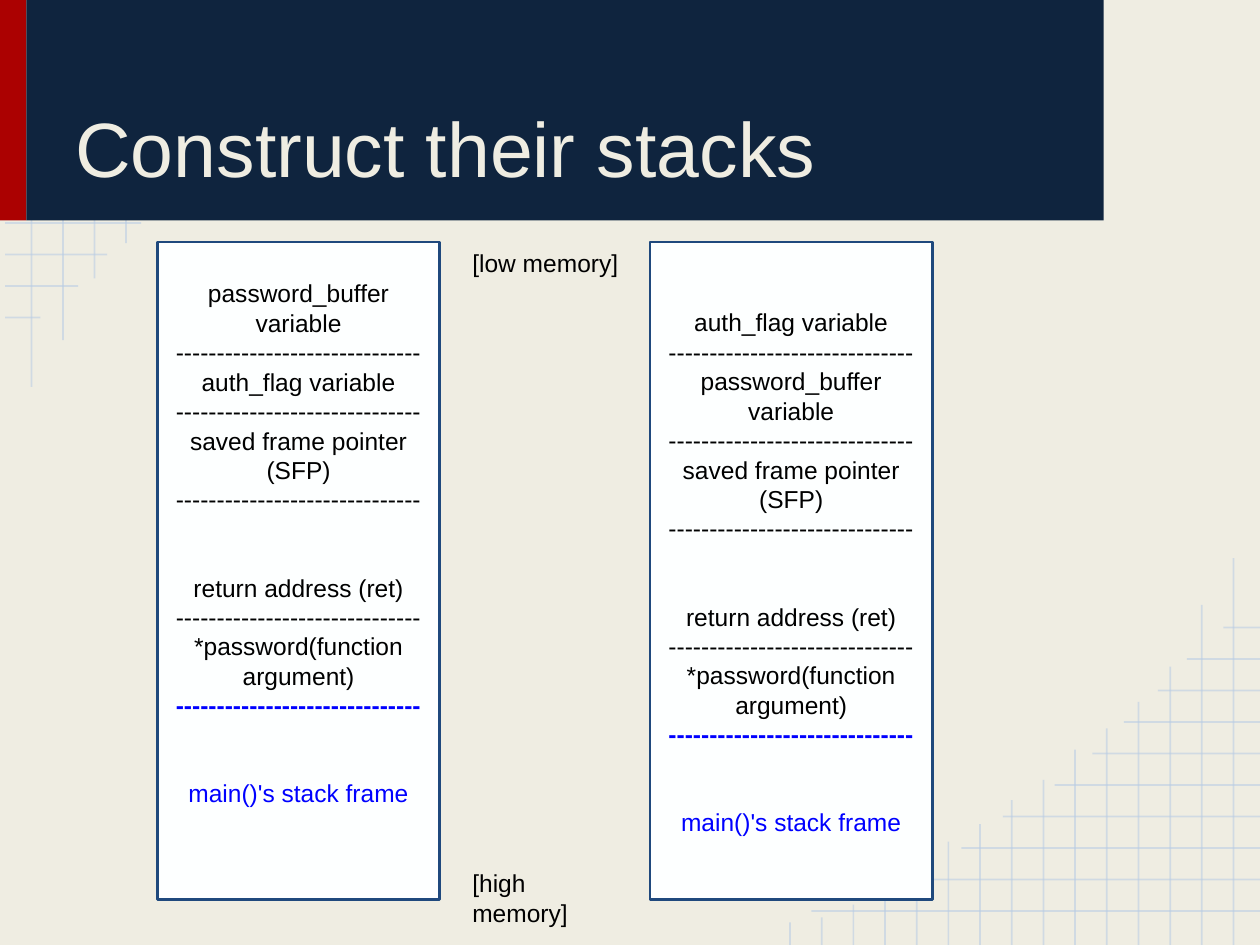
from pptx import Presentation
from pptx.dml.color import RGBColor
from pptx.enum.shapes import MSO_CONNECTOR, MSO_SHAPE
from pptx.enum.text import MSO_ANCHOR, PP_ALIGN
from pptx.oxml.ns import qn
from pptx.util import Inches, Pt
from lxml import etree

STRAIGHT, RECTANGLE = MSO_CONNECTOR.STRAIGHT, MSO_SHAPE.RECTANGLE
TOP, BOTTOM = MSO_ANCHOR.TOP, MSO_ANCHOR.BOTTOM
LEFT, CENTER = PP_ALIGN.LEFT, PP_ALIGN.CENTER

CREAM = RGBColor(0xEF, 0xED, 0xE2)
NAVY = RGBColor(0x0F, 0x24, 0x3E)
RED = RGBColor(0xAB, 0x01, 0x01)
GRID_BLUE = RGBColor(0xB7, 0xCC, 0xE4)
FRAME_BLUE = RGBColor(0x1F, 0x49, 0x7D)
WHITE = RGBColor(0xFD, 0xFF, 0xFF)
BLUE = RGBColor(0x00, 0x00, 0xFF)
BLACK = RGBColor(0x00, 0x00, 0x00)

# Content
TITLE = "Construct their stacks"
RULE = "-" * 30
BUFFER, FLAG = "password_buffer variable", "auth_flag variable"
# Each stack: left edge, inset above the text, order of the local variables
STACKS = [(5.16, 0.52, (FLAG, BUFFER)), (1.25, 0.29, (BUFFER, FLAG))]
# Each entry: text, blank lines above it, format
STACK_END = [
    ("saved frame pointer (SFP)", 0, {}),
    (RULE, 0, {}),
    ("return address (ret)", 2, {}),
    (RULE, 0, {}),
    ("*password(function argument)", 0, {}),
    (RULE, 0, {"color": BLUE, "bold": True}),
    ("main()'s stack frame", 2, {"color": BLUE}),
]
LABELS = [("[low memory]", 1.87), ("[high memory]", 6.79)]

# Grid corners: first and last line position, fixed end, and the ragged ends
UPPER_ROWS = (1.77, 2.52, 0.04, [1.12, 0.85, 0.62, 0.32])
UPPER_COLUMNS = (0.25, 1, 0, [3.07, 2.7, 2.21, 1.93])
LOWER_ROWS = (7.23, 4.98, 10, [6.44, 7.08, 7.63, 7.96, 8.37, 8.67, 8.92,
                               9.19, 9.42, 9.71])
LOWER_COLUMNS = (9.79, 6.27, 7.5, [4.43, 4.8, 5.29, 5.57, 5.78, 5.95, 6.19, 6.35,
                                   6.54, 6.68, 6.86, 7.07, 7.18, 7.28, 7.32])

STACK_TOP, STACK_WIDTH, STACK_HEIGHT = 1.92, 2.24, 5.22
LINE_PITCH = 16.8


def add_grid_line(page, *ends):
    line = page.shapes.add_connector(STRAIGHT, *(Inches(end) for end in ends))
    line.line.width = Pt(1)
    line.line.color.rgb = GRID_BLUE
    color = line.line.fill._xPr.find(".//" + qn("a:srgbClr"))
    etree.SubElement(color, qn("a:alpha")).set("val", "54000")
    etree.SubElement(line._element.spPr, qn("a:effectLst"))


def add_grid(page, grid, horizontal):
    first, last, fixed, ragged = grid
    step = (last - first) / (len(ragged) - 1)
    for index, end in enumerate(ragged):
        place = first + index * step
        if horizontal:
            add_grid_line(page, fixed, place, end, place)
        else:
            add_grid_line(page, place, fixed, place, end)


def add_block(page, area, fill, border=None):
    block = page.shapes.add_shape(RECTANGLE, *(Inches(side) for side in area))
    block.shadow.inherit = False
    block.fill.solid()
    block.fill.fore_color.rgb = fill
    if border is None:
        block.line.fill.background()
    else:
        block.line.color.rgb = border
        block.line.width = Pt(1.5)
    return block


def write(box, entries, size=14, color=BLACK, align=LEFT, anchor=TOP, inset=0.1, pitch=None):
    frame = box.text_frame
    layout = {"word_wrap": True, "vertical_anchor": anchor, "margin_top": Inches(inset)}
    for side in ("left", "right", "bottom"):
        layout["margin_" + side] = Inches(0.1)
    for name, value in layout.items():
        setattr(frame, name, value)
    for index, (text, blank_lines, style) in enumerate(entries):
        para = frame.paragraphs[0] if index == 0 else frame.add_paragraph()
        para.alignment = align
        if pitch:
            para.line_spacing = Pt(pitch)
            para.space_before = Pt(blank_lines * pitch)
        span = para.add_run()
        span.text = text
        font = {"name": "Arial", "size": Pt(size), "bold": style.get("bold", False)}
        for name, value in font.items():
            setattr(span.font, name, value)
        span.font.color.rgb = style.get("color", color)


def add_text(page, area, text, **style):
    box = page.shapes.add_textbox(*(Inches(side) for side in area))
    write(box, [(text, 0, {})], **style)


def main():
    deck = Presentation()
    deck.slide_width, deck.slide_height = Inches(10), Inches(7.5)
    page = deck.slides.add_slide(deck.slide_layouts[6])
    page.background.fill.solid()
    page.background.fill.fore_color.rgb = CREAM

    # Grid paper in two corners
    for rows, columns in ((UPPER_ROWS, UPPER_COLUMNS), (LOWER_ROWS, LOWER_COLUMNS)):
        add_grid(page, rows, True)
        add_grid(page, columns, False)

    # Title banner
    add_block(page, (0, -0.01, 0.21, 1.76), RED)
    add_block(page, (0.21, -0.01, 8.55, 1.76), NAVY)
    add_text(page, (0.5, 0.15, 8, 1.48), TITLE, size=44, color=CREAM, anchor=BOTTOM)

    # Memory stacks
    for left, inset, variables in STACKS:
        entries = [(text, 0, {}) for name in variables for text in (name, RULE)]
        area = (left, STACK_TOP, STACK_WIDTH, STACK_HEIGHT)
        stack = add_block(page, area, WHITE, FRAME_BLUE)
        write(stack, entries + STACK_END, align=CENTER, inset=inset, pitch=LINE_PITCH)

    # Memory direction labels
    for text, top in LABELS:
        add_text(page, (3.65, top, 1.38, 0.34), text, pitch=LINE_PITCH)

    deck.save("out.pptx")


if __name__ == "__main__":
    main()
